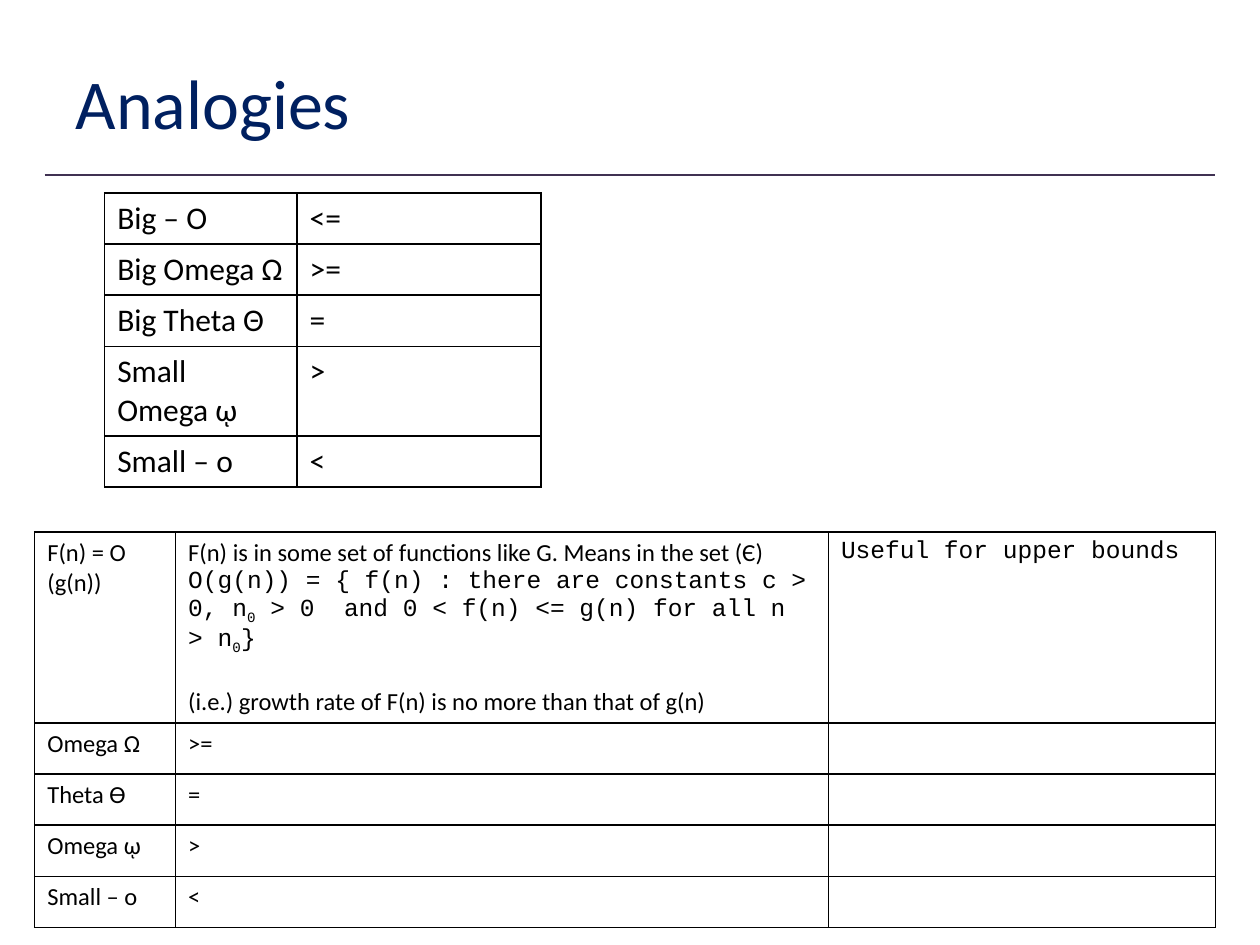
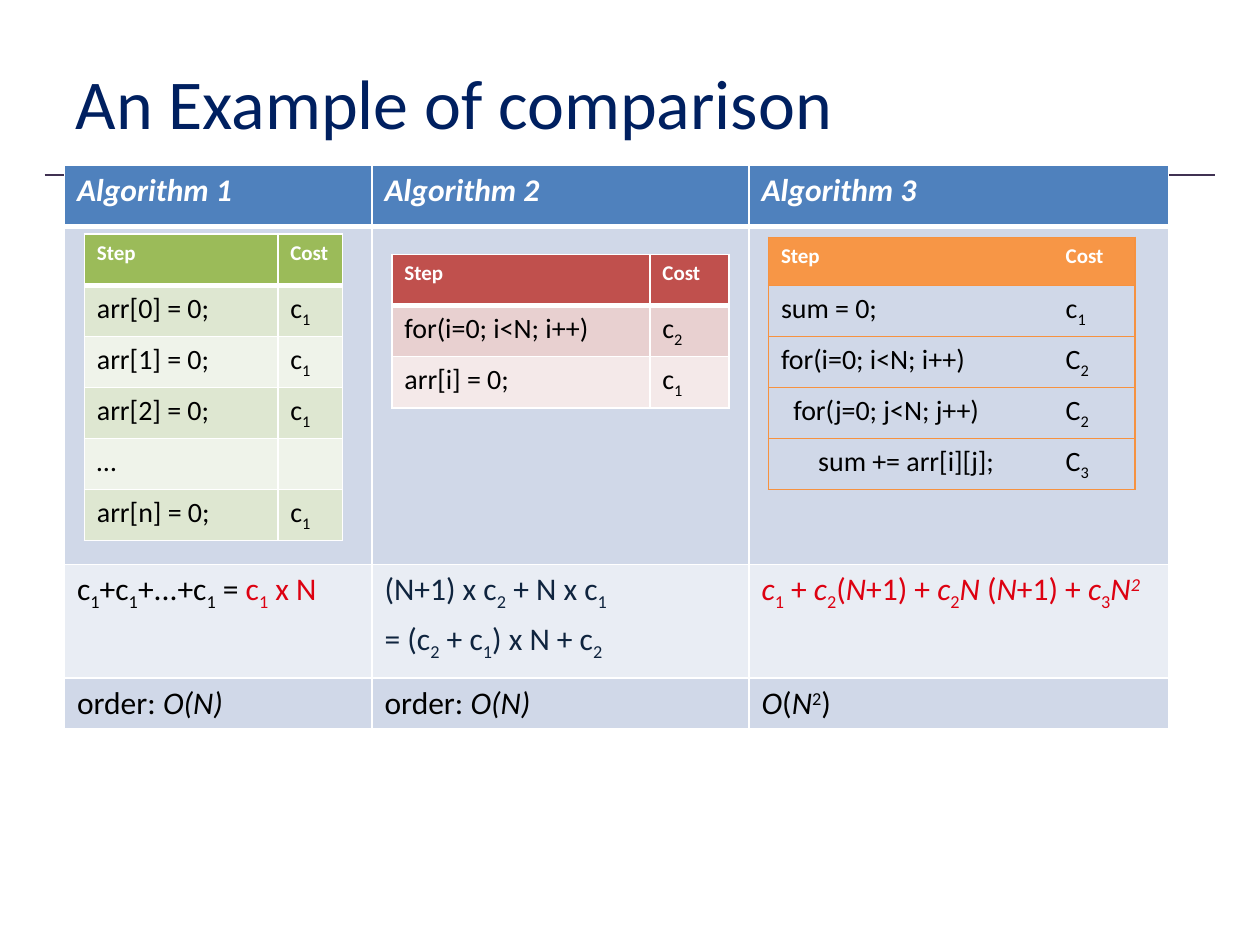
from dataclasses import dataclass

from lxml import etree
from pptx import Presentation
from pptx.dml.color import RGBColor
from pptx.enum.shapes import MSO_CONNECTOR
from pptx.enum.text import MSO_ANCHOR, PP_ALIGN
from pptx.oxml.ns import qn
from pptx.util import Cm, Pt

LEFT = PP_ALIGN.LEFT
MIDDLE = MSO_ANCHOR.MIDDLE
STRAIGHT = MSO_CONNECTOR.STRAIGHT
TITLE_ONLY = 5

BODY_FONT = "Calibri"
CODE_FONT = "Courier New"
BLACK, WHITE = "000000", "FFFFFF"
TITLE_BLUE, RULE_PURPLE = "002060", "403152"
NAVY, RED, ORANGE_LINE = "0F243E", "DD0111", "F69240"

# Characters that switch a format on and off inside a cell's text.
TOGGLES = {"*": "italic", "`": "code", "|": "red", "§": "navy"}
# Characters that shift the next character off the baseline.
SHIFTS = {"~": "-25000", "^": "30000"}
INDENT_STEP = Cm(0.25)
BLANK_LINE = 17


@dataclass(frozen=True)
class TableStyle:
    line: str
    line_width: float = 1
    size: float = 18
    header_fill: str | None = None
    header_size: float = 12
    header_italic: bool = False
    header_line_width: float = 1
    bands: tuple[str, ...] = ()
    inner_verticals: bool = True
    paragraph_gap: float = 0


@dataclass(frozen=True)
class TableContent:
    left: float
    top: float
    columns: list[float]
    rows: list[float]
    cells: list[list[str]]
    style: TableStyle


def rgb(color: str) -> RGBColor:
    return RGBColor.from_string(color)


def add_run(paragraph, text: str, *, size: float, color: str, bold: bool,
            italic: bool, font: str = BODY_FONT, baseline: str = "") -> None:
    run = paragraph.add_run()
    run.text = text
    run.font.name = font
    run.font.size = Pt(size)
    run.font.bold = bold
    run.font.italic = italic
    run.font.color.rgb = rgb(color)
    if baseline:
        run.font._element.set("baseline", baseline)


def split_runs(text: str) -> list[tuple[str, frozenset[str], str]]:
    """Split marked text into (text, active formats, baseline) parts."""
    parts: list[tuple[str, frozenset[str], str]] = []
    active: frozenset[str] = frozenset()
    baseline = ""
    for character in text:
        if character in TOGGLES:
            active ^= {TOGGLES[character]}
        elif character in SHIFTS:
            baseline = SHIFTS[character]
        else:
            if parts and parts[-1][1:] == (active, baseline):
                parts[-1] = (parts[-1][0] + character, active, baseline)
            else:
                parts.append((character, active, baseline))
            baseline = ""
    return parts


def write_text(frame, text: str, *, size: float, color: str = BLACK,
               bold: bool = False, italic: bool = False,
               gap: float = 0) -> None:
    """Write marked text; a tab indents and an empty line widens the gap."""
    paragraph = frame.paragraphs[0]
    space = 0.0
    for index, line in enumerate(text.split("\n")):
        if not line:
            space = BLANK_LINE
            continue
        if index:
            paragraph = frame.add_paragraph()
            paragraph.space_before = Pt(space or gap)
        space = 0.0
        paragraph.alignment = LEFT
        content = line.lstrip("\t")
        indent = len(line) - len(content)
        if indent:
            paragraph._p.get_or_add_pPr().set("marL", str(indent * INDENT_STEP))
        for part, active, baseline in split_runs(content):
            run_color = RED if "red" in active else NAVY if "navy" in active else color
            add_run(paragraph, part, size=size, color=run_color, bold=bold,
                    italic=italic or "italic" in active, baseline=baseline,
                    font=CODE_FONT if "code" in active else BODY_FONT)


def set_border(cell, side: str, color: str, width: float) -> None:
    """Draw one cell edge; a width of zero hides it."""
    line = etree.SubElement(cell._tc.get_or_add_tcPr(), qn(f"a:ln{side}"))
    line.set("w", str(Pt(width)))
    if width:
        fill = etree.SubElement(line, qn("a:solidFill"))
        etree.SubElement(fill, qn("a:srgbClr")).set("val", color)
    else:
        etree.SubElement(line, qn("a:noFill"))


def format_cell(cell, row: int, column: int, content: TableContent) -> None:
    style = content.style
    inner = style.line_width if style.inner_verticals else 0
    widths = {
        "L": inner if column else style.line_width,
        "R": inner if column < len(content.columns) - 1 else style.line_width,
        "T": style.header_line_width if row == 1 else style.line_width,
        "B": style.header_line_width if row == 0 else style.line_width,
    }
    for side, width in widths.items():
        set_border(cell, side, style.line, width)
    if row == 0 and style.header_fill:
        fill = style.header_fill
    else:
        fill = style.bands[(row - 1) % len(style.bands)] if style.bands else None
    if fill:
        cell.fill.solid()
        cell.fill.fore_color.rgb = rgb(fill)
    else:
        cell.fill.background()


def add_table(slide, content: TableContent) -> None:
    style = content.style
    table = slide.shapes.add_table(
        len(content.rows), len(content.columns), Cm(content.left), Cm(content.top),
        Cm(sum(content.columns)), Cm(sum(content.rows))).table
    table.first_row = table.horz_banding = False
    for column, width in zip(table.columns, content.columns):
        column.width = Cm(width)
    for row, height in zip(table.rows, content.rows):
        row.height = Cm(height)
    for row, texts in enumerate(content.cells):
        for column, text in enumerate(texts):
            cell = table.cell(row, column)
            format_cell(cell, row, column, content)
            if row == 0 and style.header_fill:
                write_text(cell.text_frame, text, size=style.header_size, color=WHITE,
                           bold=True, italic=style.header_italic)
            else:
                write_text(cell.text_frame, text, size=style.size,
                           gap=style.paragraph_gap)


def add_title_rule(slide) -> None:
    rule = slide.shapes.add_connector(STRAIGHT, Cm(0.9), Cm(3.53), Cm(24.5), Cm(3.53))
    rule.line.color.rgb = rgb(RULE_PURPLE)
    rule.line.width = Pt(1)
    etree.SubElement(rule._element.spPr, qn("a:effectLst"))


def add_slide(presentation, title: str, tables: list[TableContent]) -> None:
    slide = presentation.slides.add_slide(presentation.slide_layouts[TITLE_ONLY])
    add_title_rule(slide)
    placeholder = slide.shapes.title
    placeholder.left, placeholder.top = Cm(1.27), Cm(0.76)
    placeholder.width, placeholder.height = Cm(22.86), Cm(2.57)
    placeholder.text_frame.vertical_anchor = MIDDLE
    write_text(placeholder.text_frame, title, size=40, color=TITLE_BLUE)
    for content in tables:
        add_table(slide, content)


SYMBOLS = TableContent(
    2.11, 3.89, [3.88, 4.92], [1.03] * 5,
    [["Big – O", "<="],
     ["Big Omega Ω", ">="],
     ["Big Theta Θ", "="],
     ["Small Omega ῳ", ">"],
     ["Small – o", "<"]],
    TableStyle(BLACK))

DEFINITIONS = TableContent(
    0.7, 10.72, [2.84, 13.16, 7.8], [3.8] + [1.03] * 4,
    [["F(n) = O (g(n))",
      "F(n) is in some set of functions like G. Means in the set (Є)\n"
      "`O(g(n)) = { f(n) : there are constants c > 0, n~0 > 0  and 0 < f(n) <= g(n)"
      " for all n > n~0}`\n\n"
      "(i.e.) growth rate of F(n) is no more than that of g(n)",
      "`Useful for upper bounds`"],
     ["Omega Ω", ">=", ""],
     ["Theta Ѳ", "=", ""],
     ["Omega ῳ", ">", ""],
     ["Small – o", "<", ""]],
    TableStyle(BLACK, size=14))

COMPARISON = TableContent(
    1.3, 3.33, [6.2, 7.6, 8.46], [1.24, 6.81, 2.29, 1.02],
    [["Algorithm 1", "Algorithm 2", "Algorithm 3"],
     ["", "", ""],
     ["c~1+c~1+...+c~1 = |c~1 x N|",
      "§(N+1) x c~2 + N x c~1\n§= (c~2 + c~1) x N + c~2",
      "|*c*~1 + *c*~2(*N*+1) + *c*~2*N *(*N*+1) + *c*~3*N^2*|"],
     ["order: *O(N)*", "order: *O(N)*", "*O*(*N*^2)"]],
    TableStyle(WHITE, header_fill="4F81BD", header_size=18, header_italic=True,
               header_line_width=3, bands=("D0D8E8", "E9EDF4"), paragraph_gap=4))

STEP_HEADER = ["Step", "Cost"]

ASSIGNMENTS = TableContent(
    1.7, 4.72, [3.9, 1.3], [1.03] * 6,
    [STEP_HEADER,
     *[[f"arr[{index}] = 0;", "c~1"] for index in range(3)],
     ["…", ""],
     ["arr[n] = 0;", "c~1"]],
    TableStyle(WHITE, size=16, header_fill="9BBB59", header_line_width=3,
               bands=("DEE7D1", "EFF3EA")))

SINGLE_LOOP = TableContent(
    7.9, 5.13, [5.2, 1.6], [1.03] * 3,
    [STEP_HEADER,
     ["for(i=0; i<N; i++)", "c~2"],
     ["arr[i] = 0;", "c~1"]],
    TableStyle(WHITE, size=16, header_fill="C0504D", header_line_width=3,
               bands=("E8D0D0", "F4E9E9")))

NESTED_LOOP = TableContent(
    15.49, 4.78, [5.74, 1.65], [0.97] + [1.03] * 4,
    [STEP_HEADER,
     ["sum = 0;", "c~1"],
     ["for(i=0; i<N; i++)", "C~2"],
     ["\tfor(j=0; j<N; j++)", "C~2"],
     ["\t\t\tsum += arr[i][j];", "C~3"]],
    TableStyle(ORANGE_LINE, line_width=0.75, size=16, header_fill="F79646",
               header_line_width=0.75, inner_verticals=False))


def main() -> None:
    presentation = Presentation()
    presentation.slide_width, presentation.slide_height = Cm(25.4), Cm(19.05)
    add_slide(presentation, "Analogies", [SYMBOLS, DEFINITIONS])
    add_slide(presentation, "An Example of comparison",
              [COMPARISON, ASSIGNMENTS, SINGLE_LOOP, NESTED_LOOP])
    presentation.save("out.pptx")


if __name__ == "__main__":
    main()
